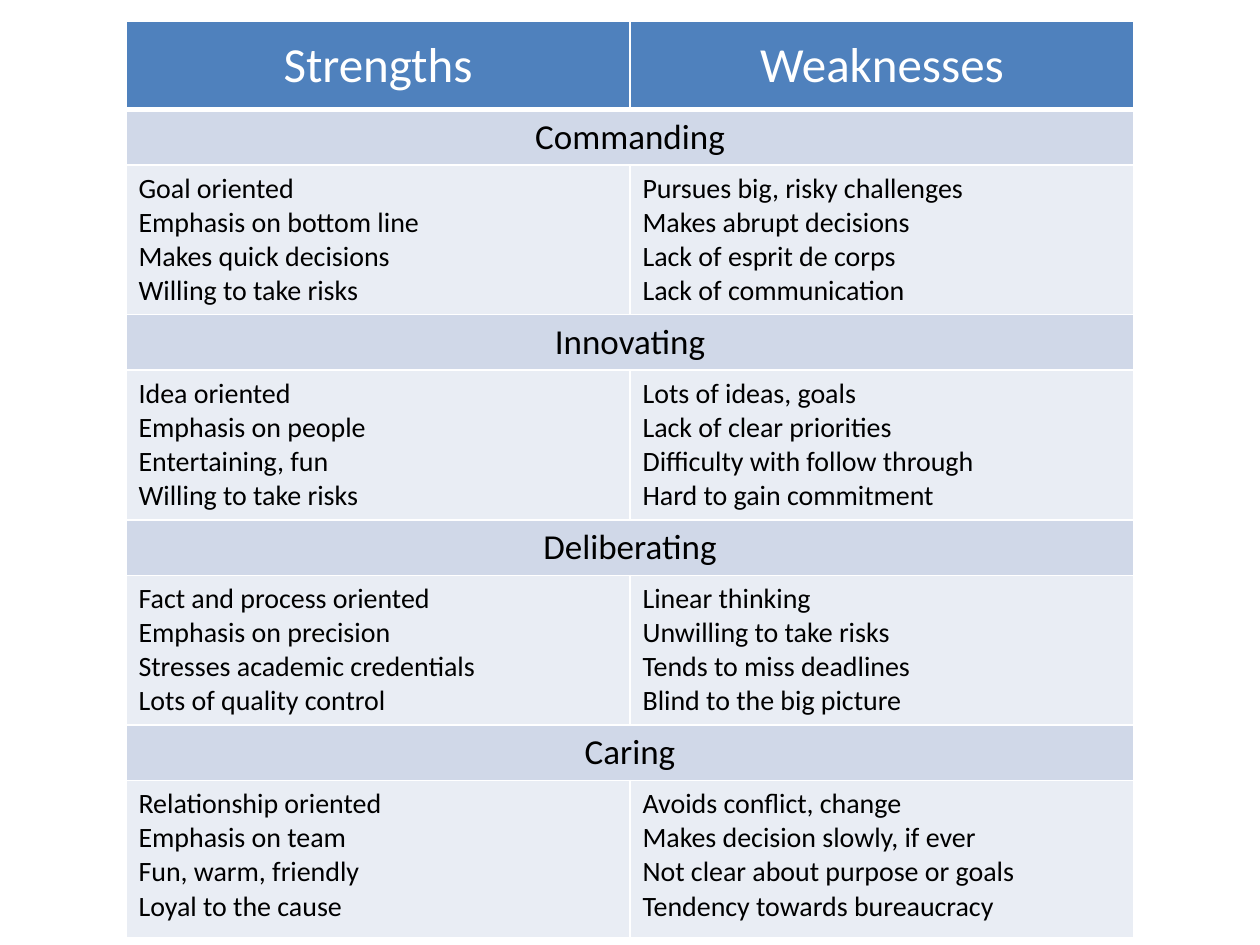
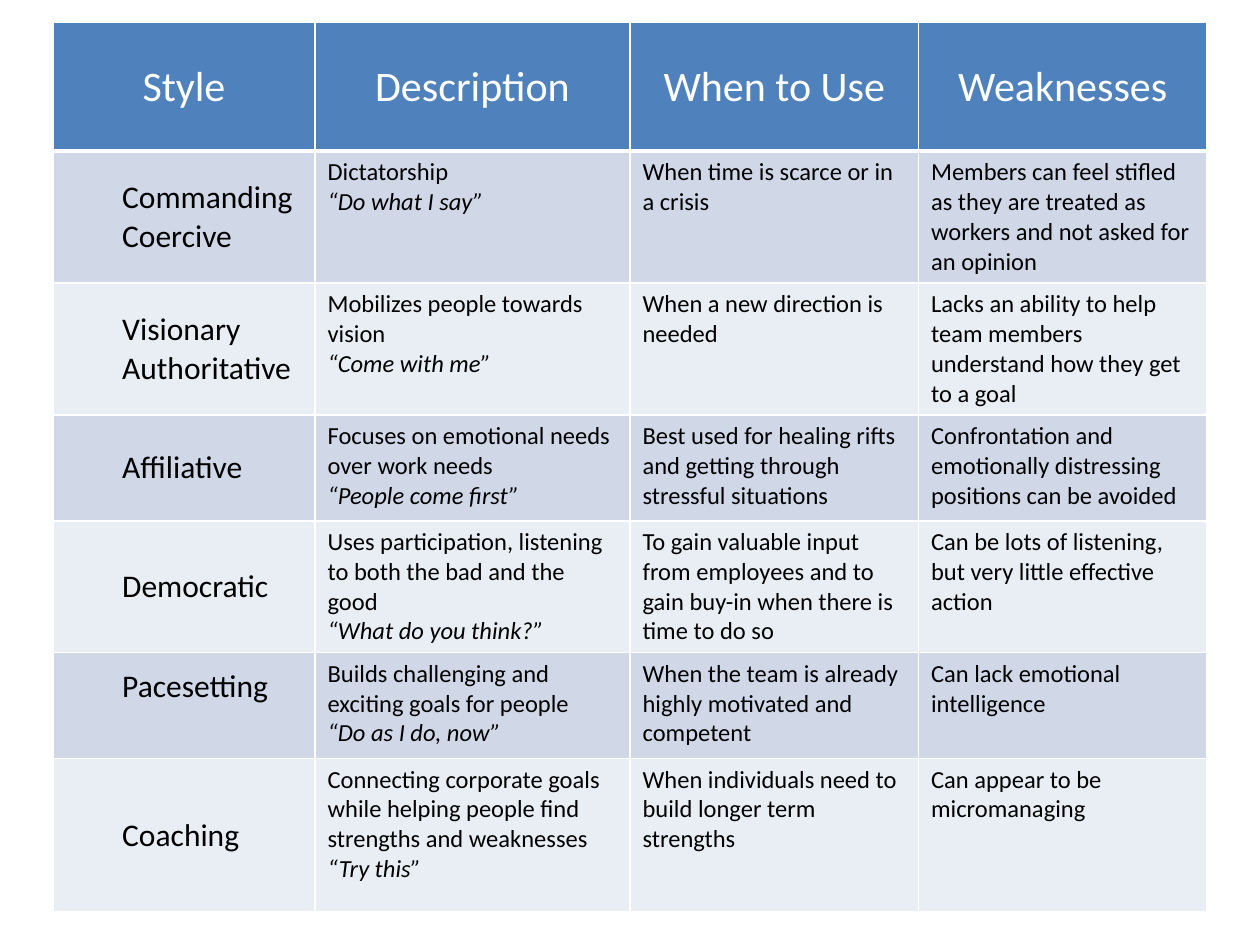
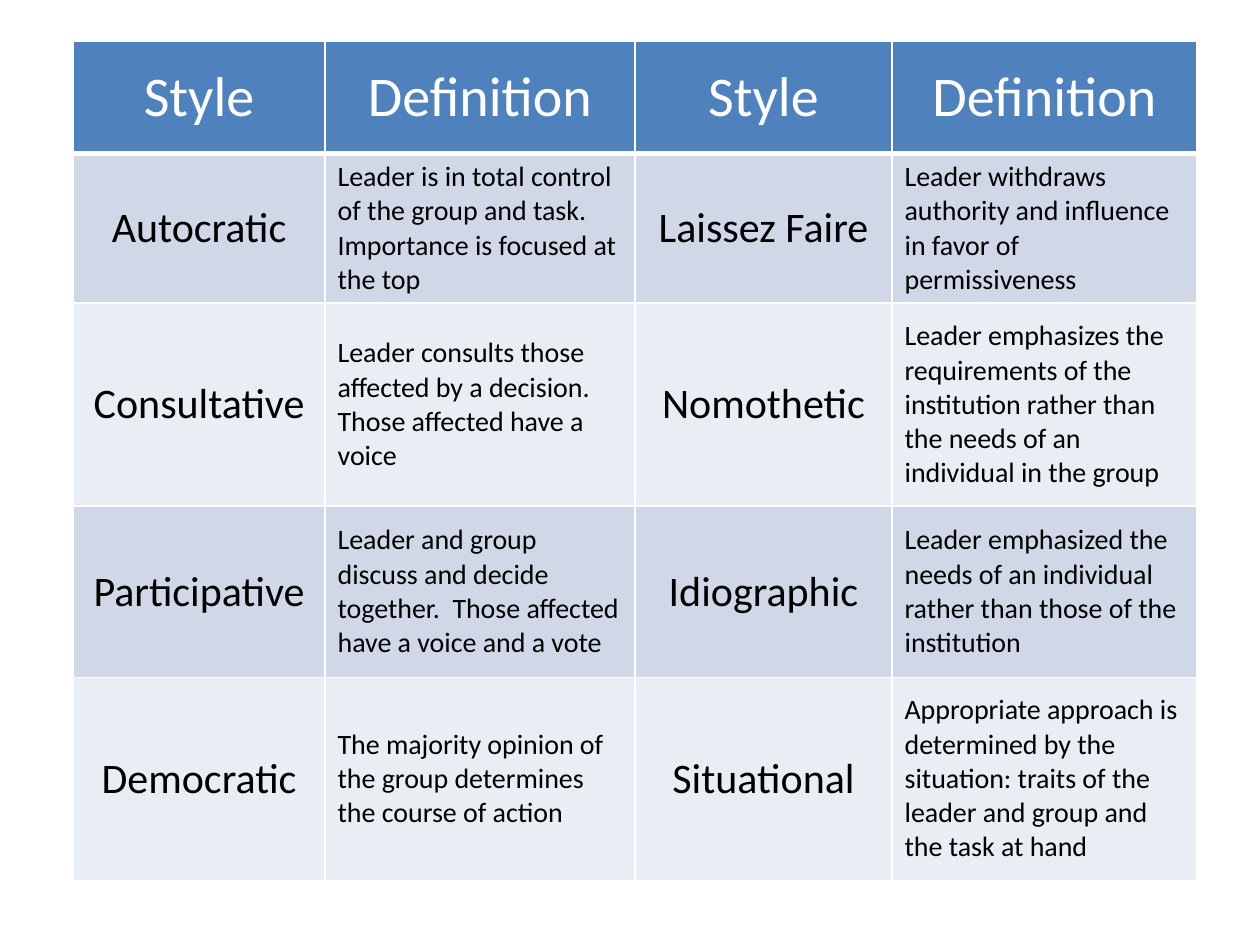
from dataclasses import dataclass
from lxml.etree import SubElement
from pptx import Presentation
from pptx.dml.color import RGBColor
from pptx.enum.text import MSO_ANCHOR, PP_ALIGN
from pptx.oxml.ns import qn
from pptx.util import Inches, Pt


@dataclass(frozen=True)
class Theme:
    font: str = "Calibri"
    head: str = "4F81BD"
    dark: str = "D0D8E8"
    light: str = "E9EDF4"
    white: str = "FFFFFF"
    black: str = "000000"
    title: int = 32
    lead: int = 28
    large: int = 24
    band: int = 20
    label: int = 18
    body: int = 16
    small: int = 14
    line: int = 1
    rule: int = 3


theme = Theme()


def write(cell, text, size=theme.body, color=theme.black, fill=theme.light,
          center=False, middle=False, indent=0, inset=None, base=0.05,
          rule=theme.line):
    """Fill and border a cell; each line is a paragraph, quotes are italic."""
    props = cell._tc.get_or_add_tcPr()
    for side, width in zip("LRTB", (theme.line, theme.line, theme.line, rule)):
        edge = SubElement(props, qn(f"a:ln{side}"), w=str(Pt(width)))
        solid = SubElement(edge, qn("a:solidFill"))
        SubElement(solid, qn("a:srgbClr"), val=theme.white)
    cell.fill.solid()
    cell.fill.fore_color.rgb = RGBColor.from_string(fill)
    cell.vertical_anchor = MSO_ANCHOR.MIDDLE if middle else MSO_ANCHOR.TOP
    cell.margin_top, cell.margin_bottom = Inches(0.05), Inches(base)
    if inset is not None:
        cell.margin_left = cell.margin_right = Inches(inset)
    cell.text = text
    for part in cell.text_frame.paragraphs:
        part.alignment = PP_ALIGN.CENTER if center else PP_ALIGN.LEFT
        if indent:
            part.level = 1
            part._p.get_or_add_pPr().set("marL", str(Inches(indent)))
            part._p.get_or_add_pPr().set("indent", "0")
        for run in part.runs:
            font = run.font
            font.name, font.size, font.bold = theme.font, Pt(size), False
            font.italic = run.text.startswith("“")
            font.color.rgb = RGBColor.from_string(color)


def grid(left, top, height, cols, rows, heads, size):
    """Add a slide with a table and its header row; return the table."""
    slide = deck.slides.add_slide(deck.slide_layouts[6])
    frame = slide.shapes.add_table(
        len(rows), len(cols), Inches(left), Inches(top),
        Inches(sum(cols)), Inches(height))
    table = frame.table
    table.horz_banding = False
    for col, width in zip(table.columns, cols):
        col.width = Inches(width)
    for row, tall in zip(table.rows, rows):
        row.height = Inches(tall)
    frame.height = Inches(height)
    for cell, head in zip(table.rows[0].cells, heads):
        write(cell, head, size=size, color=theme.white, fill=theme.head,
              center=True, middle=True, rule=theme.rule)
    return table


deck = Presentation()
deck.slide_width, deck.slide_height = Inches(10), Inches(7.5)

# Strengths and weaknesses of each style
traits = [
    ("Commanding",
     "Goal oriented\nEmphasis on bottom line\nMakes quick decisions\n"
     "Willing to take risks",
     "Pursues big, risky challenges\nMakes abrupt decisions\n"
     "Lack of esprit de corps\nLack of communication"),
    ("Innovating",
     "Idea oriented\nEmphasis on people\nEntertaining, fun\n"
     "Willing to take risks",
     "Lots of ideas, goals\nLack of clear priorities\n"
     "Difficulty with follow through\nHard to gain commitment"),
    ("Deliberating",
     "Fact and process oriented\nEmphasis on precision\n"
     "Stresses academic credentials\nLots of quality control",
     "Linear thinking\nUnwilling to take risks\nTends to miss deadlines\n"
     "Blind to the big picture"),
    ("Caring",
     "Relationship oriented\nEmphasis on team\nFun, warm, friendly\n"
     "Loyal to the cause",
     "Avoids conflict, change\nMakes decision slowly, if ever\n"
     "Not clear about purpose or goals\nTendency towards bureaucracy"),
]
table = grid(1, 0.17, 7.19, [4, 4], [0.7] + [0.42, 1.12] * 3 + [0.42, 1.25],
             ["Strengths", "Weaknesses"], theme.lead)
for i, (name, *lists) in enumerate(traits):
    row = 1 + 2 * i
    table.cell(row, 0).merge(table.cell(row, 1))
    write(table.cell(row, 0), name, size=theme.band, fill=theme.dark,
          center=True)
    for col, text in enumerate(lists):
        write(table.cell(row + 1, col), text)

# When to use each style
styles = [
    ("Commanding\nCoercive", "Dictatorship\n“Do what I say”",
     "When time is scarce or in a crisis",
     "Members can feel stifled as they are treated as workers and not asked "
     "for an opinion"),
    ("Visionary\nAuthoritative",
     "Mobilizes people towards vision\n“Come with me”",
     "When a new direction is needed",
     "Lacks an ability to help team members understand how they get to a goal"),
    ("Affiliative",
     "Focuses on emotional needs over work needs\n“People come first”",
     "Best used for healing rifts and getting through stressful situations",
     "Confrontation and emotionally distressing positions can be avoided"),
    ("Democratic",
     "Uses participation, listening to both the bad and the good\n"
     "“What do you think?”",
     "To gain valuable input from employees and to gain buy-in when there is "
     "time to do so",
     "Can be lots of listening, but very little effective action"),
    ("Pacesetting",
     "Builds challenging and exciting goals for people\n“Do as I do, now”",
     "When the team is already highly motivated and competent",
     "Can lack emotional intelligence"),
    ("Coaching",
     "Connecting corporate goals while helping people find strengths and "
     "weaknesses\n“Try this”",
     "When individuals need to build longer term strengths",
     "Can appear to be micromanaging"),
]
table = grid(0.42, 0.18, 7.01, [2.08, 2.5, 2.29, 2.29],
             [1.02, 1, 1, 0.84, 1, 0.84, 1.22],
             ["Style", "Description", "When to Use", "Weaknesses"],
             theme.large)
for row, (name, *notes) in enumerate(styles, 1):
    fill = theme.dark if row % 2 else theme.light
    write(table.cell(row, 0), name, size=theme.label, fill=fill, middle=True,
          indent=0.5, inset=0.05, base=0.35 if name == "Pacesetting" else 0.05)
    for col, text in enumerate(notes, 1):
        write(table.cell(row, col), text, size=theme.small, fill=fill)

# Definitions, two styles to a row
terms = [
    ("Autocratic",
     "Leader is in total control of the group and task.  Importance is "
     "focused at the top",
     "Laissez Faire",
     "Leader withdraws authority and influence in favor of permissiveness"),
    ("Consultative",
     "Leader consults those affected by a decision.  Those affected have a "
     "voice",
     "Nomothetic",
     "Leader emphasizes the requirements of the institution rather than the "
     "needs of an individual in the group"),
    ("Participative",
     "Leader and group discuss and decide together.  Those affected have a "
     "voice and a vote",
     "Idiographic",
     "Leader emphasized the needs of an individual rather than those of the "
     "institution"),
    ("Democratic",
     "The majority opinion of the group determines the course of action",
     "Situational",
     "Appropriate approach is determined by the situation: traits of the "
     "leader and group and the task at hand"),
]
table = grid(0.58, 0.33, 6.63, [2, 2.46, 2.04, 2.42],
             [0.89, 1.1, 1.61, 1.36, 1.61], ["Style", "Definition"] * 2,
             theme.title)
for row, texts in enumerate(terms, 1):
    fill = theme.dark if row % 2 else theme.light
    for col, text in enumerate(texts):
        name = col % 2 == 0
        write(table.cell(row, col), text, fill=fill, middle=True, center=name,
              size=theme.large if name else theme.body)

deck.save("out.pptx")
